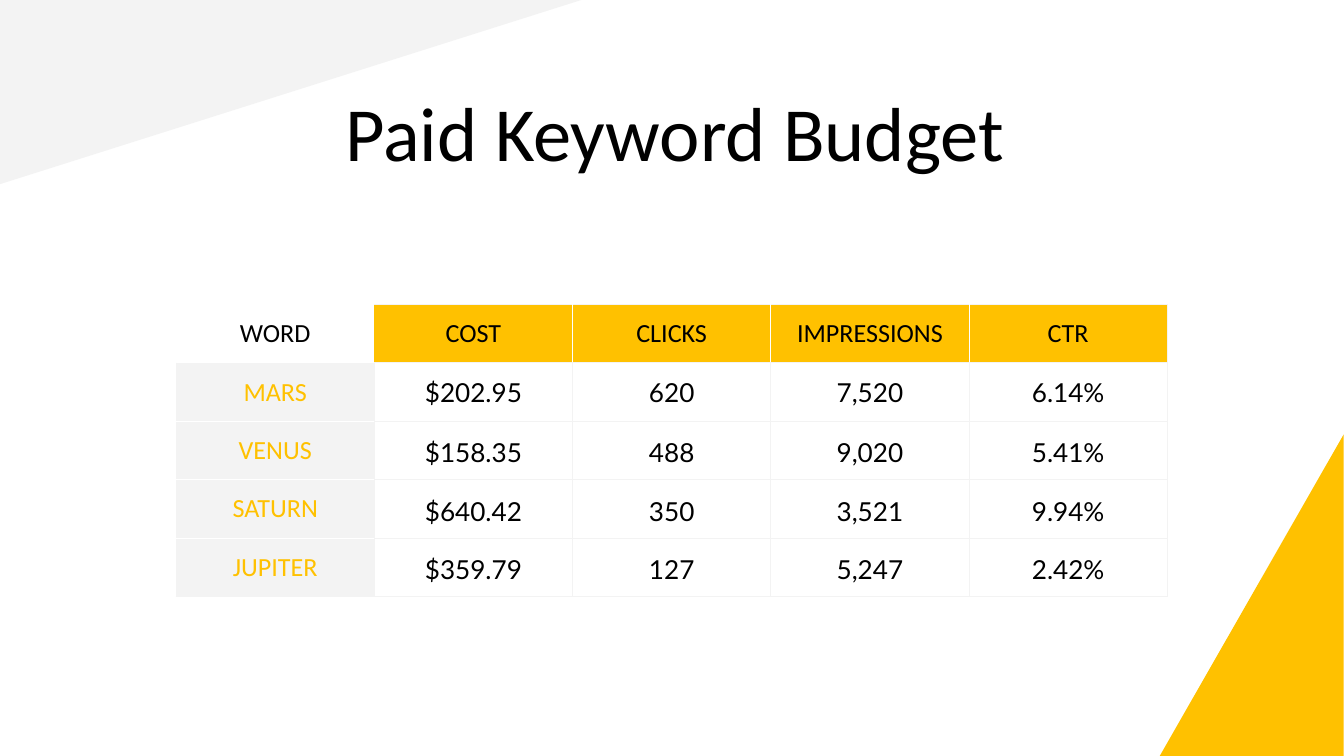
from lxml.etree import SubElement
from pptx import Presentation
from pptx.dml.color import RGBColor
from pptx.enum.shapes import MSO_SHAPE as Shape
from pptx.enum.text import MSO_ANCHOR as Anchor, PP_ALIGN as Align
from pptx.oxml.ns import qn
from pptx.util import Inches, Pt

COLORS = {"black": "000000", "white": "FFFFFF", "grey": "F3F3F3", "yellow": "FFC100"}
TITLE = "Paid Keyword Budget"
KEYWORDS = [
    ("WORD", "COST", "CLICKS", "IMPRESSIONS", "CTR"),
    ("MARS", "$202.95", "620", "7,520", "6.14%"),
    ("VENUS", "$158.35", "488", "9,020", "5.41%"),
    ("SATURN", "$640.42", "350", "3,521", "9.94%"),
    ("JUPITER", "$359.79", "127", "5,247", "2.42%"),
]
# left, top, width, height, rotation, mirrored, colour
CORNERS = [
    (0, 0, 8.65, 2.74, 180, True, "grey"),
    (16.23, 7.49, 4.79, 2.74, 270, False, "yellow"),
]
TABLE_LEFT, TABLE_TOP = 2.62, 4.53
COLUMN_WIDTH, HEADER_HEIGHT, ROW_HEIGHT = 2.95, 0.83, 0.87


def rgb(color):
    return RGBColor.from_string(COLORS[color])


def write(frame, text, size=28, font="Calibri", color="black", spacing=None, inset=(0.2, 0.2)):
    """Put one centred paragraph into a text frame or table cell."""
    frame.margin_left = frame.margin_right = Inches(inset[0])
    frame.margin_top = frame.margin_bottom = Inches(inset[1])
    paragraph = getattr(frame, "text_frame", frame).paragraphs[0]
    paragraph.alignment = Align.CENTER
    if spacing:
        paragraph.line_spacing = spacing
    run = paragraph.add_run()
    run.text = text
    run.font.size = Pt(size)
    run.font.name = font
    run.font.color.rgb = rgb(color)


def border_colors(row, column):
    """Colours of the left, right, top and bottom borders; None for no line."""
    if row == 0:
        if column == 0:
            return None, None, None, None
        left = None if column == 1 else "white"
        right = "grey" if column == len(KEYWORDS[0]) - 1 else "white"
        return left, right, "grey", "grey"
    if column == 0:
        top = None if row == 1 else "white"
        bottom = "grey" if row == len(KEYWORDS) - 1 else "white"
        return "grey", "grey", top, bottom
    return "grey", "grey", "grey", "grey"


def draw_borders(cell, colors):
    properties = cell._tc.get_or_add_tcPr()
    for position, (side, color) in enumerate(zip("LRTB", colors)):
        line = SubElement(properties, qn(f"a:ln{side}"), w=str(Pt(0.75)))
        properties.insert(position, line)
        if color:
            fill = SubElement(line, qn("a:solidFill"))
            SubElement(fill, qn("a:srgbClr"), val=COLORS[color])
        else:
            SubElement(line, qn("a:noFill"))


def add_corner(slide, left, top, width, height, rotation, mirrored, color):
    corner = slide.shapes.add_shape(
        Shape.RIGHT_TRIANGLE, *map(Inches, (left, top, width, height)))
    corner.rotation = rotation
    if mirrored:
        corner._element.spPr.xfrm.set("flipH", "1")
    corner.shadow.inherit = False
    corner.fill.solid()
    corner.fill.fore_color.rgb = rgb(color)
    corner.line.fill.background()


def add_keyword_table(slide):
    rows, columns = len(KEYWORDS), len(KEYWORDS[0])
    heights = [HEADER_HEIGHT] + [ROW_HEIGHT] * (rows - 1)
    table = slide.shapes.add_table(
        rows, columns, Inches(TABLE_LEFT), Inches(TABLE_TOP),
        Inches(COLUMN_WIDTH * columns), Inches(sum(heights))).table
    table.first_row = table.horz_banding = False
    for column in table.columns:
        column.width = Inches(COLUMN_WIDTH)
    for r, (height, values) in enumerate(zip(heights, KEYWORDS)):
        table.rows[r].height = Inches(height)
        for c, value in enumerate(values):
            cell = table.cell(r, c)
            cell.vertical_anchor = Anchor.MIDDLE
            fill = None
            if r == 0:
                fill = "yellow" if c else None
                write(cell, value)
            elif c == 0:
                fill = "grey"
                write(cell, value, color="yellow")
            elif r == 1:
                write(cell, value, font="Lato")
            else:
                write(cell, value, font="Lato", spacing=1.15, inset=(0.06, 0.04))
            if fill:
                cell.fill.solid()
                cell.fill.fore_color.rgb = rgb(fill)
            else:
                cell.fill.background()
            draw_borders(cell, border_colors(r, c))


def main():
    deck = Presentation()
    deck.slide_width, deck.slide_height = Inches(20), Inches(11.25)
    slide = deck.slides.add_slide(deck.slide_layouts[6])
    slide.background.fill.solid()
    slide.background.fill.fore_color.rgb = rgb("white")
    for corner in CORNERS:
        add_corner(slide, *corner)
    title = slide.shapes.add_textbox(*map(Inches, (1.18, 1.07, 17.72, 1.25))).text_frame
    title.word_wrap = True
    title.vertical_anchor = Anchor.TOP
    write(title, TITLE, size=82)
    add_keyword_table(slide)
    deck.save("out.pptx")


if __name__ == "__main__":
    main()
